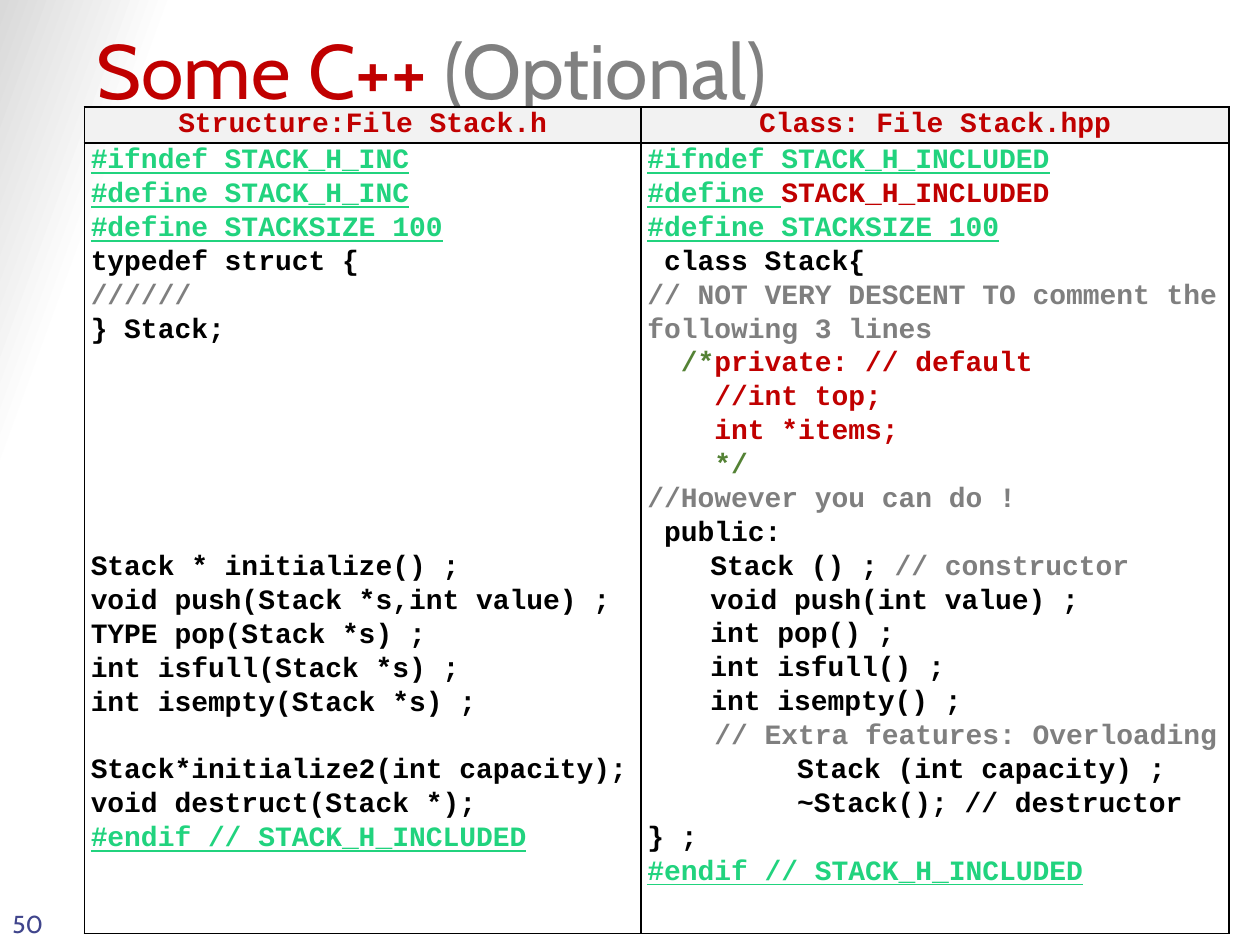
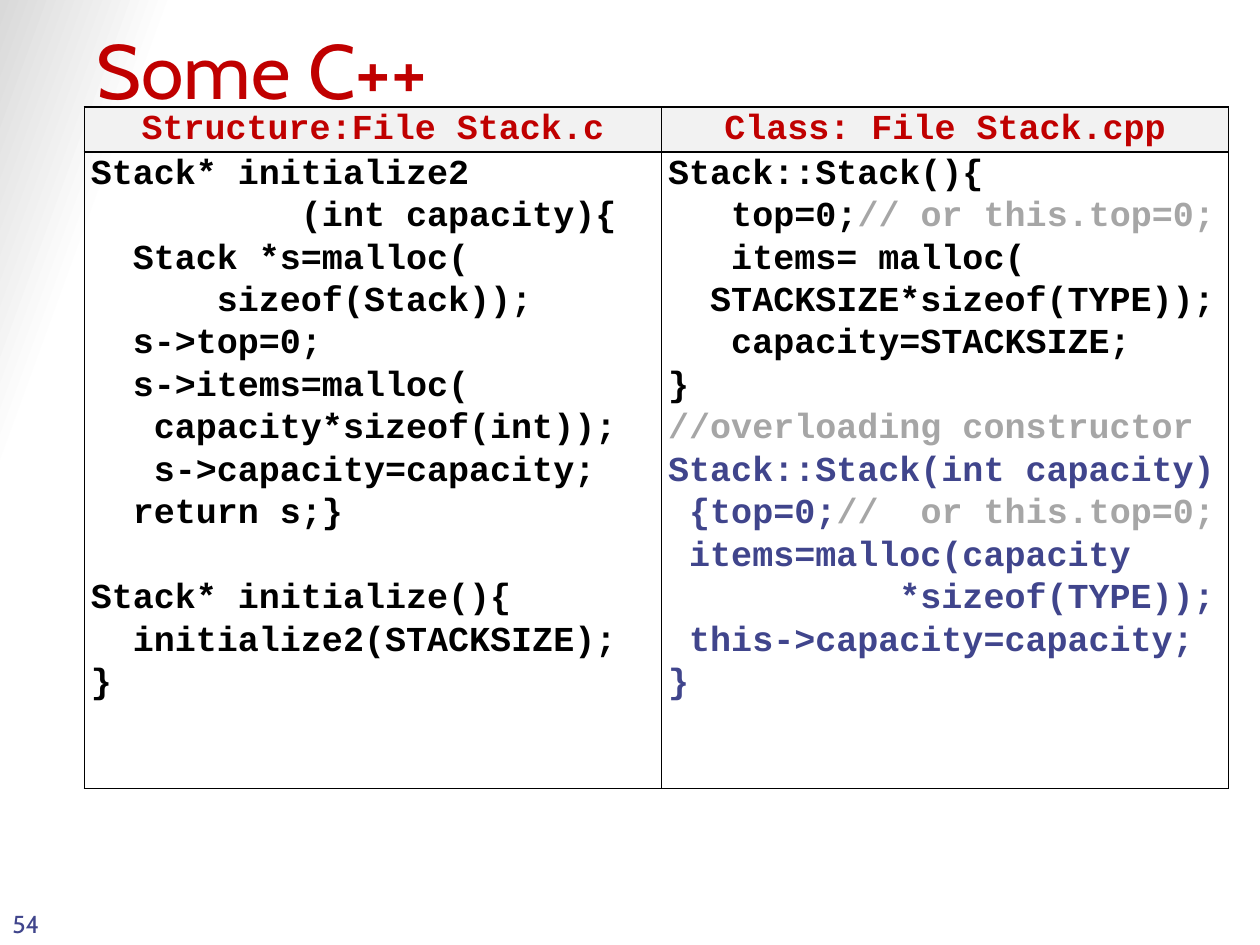
from dataclasses import dataclass

from lxml import etree
from pptx import Presentation
from pptx.dml.color import RGBColor
from pptx.enum import text
from pptx.oxml import ns
from pptx.util import Cm, Pt

RED = RGBColor(0xC0, 0x00, 0x00)
TITLE_GREY = RGBColor(0x80, 0x80, 0x80)
GREY = RGBColor(0x7F, 0x7F, 0x7F)
PALE_GREY = RGBColor(0xA6, 0xA6, 0xA6)
HEADER_GREY = RGBColor(0xF2, 0xF2, 0xF2)
EDGE_GREY = RGBColor(0xD9, 0xD9, 0xD9)
WHITE = RGBColor(0xFF, 0xFF, 0xFF)
BLACK = RGBColor(0x00, 0x00, 0x00)
MINT = RGBColor(0x21, 0xD3, 0x7E)
GREEN = RGBColor(0x54, 0x82, 0x35)
INDIGO = RGBColor(0x40, 0x45, 0x8C)

TITLE_FONT = "Cabin"
CODE_FONT = "Courier New"
LINE_SPACING = 1.07
FONT_HEIGHT = 1.133
WIDE_TAB = Cm(3.02)


@dataclass(frozen=True)
class Run:
    text: str
    color: RGBColor = BLACK
    underline: bool = False


@dataclass(frozen=True)
class Line:
    runs: tuple[Run, ...]
    blanks_before: int = 0
    tab: int = 0


@dataclass(frozen=True)
class Column:
    heading: str
    width: float
    lines: list[Line]


@dataclass(frozen=True)
class CodeSlide:
    title: tuple[Run, ...]
    number: str
    size: int
    row_heights: tuple[float, float]
    columns: tuple[Column, Column]


def line(*runs: Run, blanks: int = 0, tab: int = 0) -> Line:
    return Line(runs, blanks, tab)


def code(block: str, color: RGBColor = BLACK, blanks: int = 0, tab: int = 0) -> list[Line]:
    return [line(Run(row, color), blanks=0 if i else blanks, tab=tab)
            for i, row in enumerate(block.split("\n"))]


def directives(block: str) -> list[Line]:
    return [line(Run(row, MINT, True)) for row in block.split("\n")]


STACK_H = Column("Structure:File Stack.h", 11.22, [
    *directives("""#ifndef STACK_H_INC
#define STACK_H_INC
#define STACKSIZE 100"""),
    *code("typedef struct {"),
    *code("//////", GREY),
    *code("} Stack;"),
    *code("""Stack * initialize() ;
void push(Stack *s,int value) ;
TYPE pop(Stack *s) ;
int isfull(Stack *s) ;
int isempty(Stack *s) ;""", blanks=6),
    *code("""Stack*initialize2(int capacity);
void destruct(Stack *);""", blanks=1),
    *directives("#endif // STACK_H_INCLUDED"),
])

STACK_HPP = Column("Class: File Stack.hpp", 11.86, [
    *directives("#ifndef STACK_H_INCLUDED"),
    line(Run("#define ", MINT, True), Run("STACK_H_INCLUDED", RED)),
    *directives("#define STACKSIZE 100"),
    *code(" class Stack{"),
    *code("// NOT VERY DESCENT TO comment the following 3 lines", GREY),
    line(Run("  /*", GREEN), Run("private: // default", RED)),
    *code("""    //int top;
    int *items;""", RED),
    *code("    */", GREEN),
    *code("//However you can do !", GREY),
    *code(" public:"),
    line(Run(" \tStack () ; "), Run("// constructor", GREY)),
    *code(""" \tvoid push(int value) ;
 \tint pop() ;
 \tint isfull() ;
 \tint isempty() ;"""),
    *code("    // Extra features: Overloading", GREY),
    *code(""" \tStack (int capacity) ;
 \t~Stack(); // destructor""", tab=WIDE_TAB),
    *code("} ;"),
    *directives("#endif // STACK_H_INCLUDED"),
])

STACK_C = Column("Structure:File Stack.c", 11.64, [
    *code("""Stack* initialize2
          (int capacity){
  Stack *s=malloc(
      sizeof(Stack));
  s->top=0;
  s->items=malloc(
   capacity*sizeof(int));
   s->capacity=capacity;
  return s;}"""),
    *code("""Stack* initialize(){
  initialize2(STACKSIZE);
}""", blanks=1),
])

STACK_CPP = Column("Class: File Stack.cpp", 11.43, [
    *code("Stack::Stack(){"),
    line(Run("   top=0;"), Run("// or this.top=0;", PALE_GREY)),
    *code("""   items= malloc(
  STACKSIZE*sizeof(TYPE));
   capacity=STACKSIZE;
}"""),
    *code("//overloading constructor", PALE_GREY),
    *code("Stack::Stack(int capacity)", INDIGO),
    line(Run(" {top=0;", INDIGO), Run("//  or this.top=0;", PALE_GREY)),
    *code(""" items=malloc(capacity
           *sizeof(TYPE));
 this->capacity=capacity;
}""", INDIGO),
])

SLIDES = [
    CodeSlide((Run("Some C++ ", RED), Run("(Optional)", TITLE_GREY)), "50", 16,
              (0.68, 15.04), (STACK_H, STACK_HPP)),
    CodeSlide((Run("Some C++", RED),), "54", 20,
              (0.86, 12.83), (STACK_C, STACK_CPP)),
]


def add_runs(p, runs: tuple[Run, ...], font: str, size: int, bold: bool = False) -> None:
    for run in runs:
        r = p.add_run()
        r.text = run.text
        r.font.name = font
        r.font.size = Pt(size)
        r.font.bold = bold
        r.font.underline = run.underline
        r.font.color.rgb = run.color


def add_label(slide, box: tuple[float, ...], runs: tuple[Run, ...], size: int,
              inset: float) -> None:
    tf = slide.shapes.add_textbox(*map(Cm, box)).text_frame
    tf.word_wrap = True
    tf.vertical_anchor = text.MSO_ANCHOR.BOTTOM
    tf.margin_top = tf.margin_bottom = Cm(inset)
    add_runs(tf.paragraphs[0], runs, TITLE_FONT, size)


def set_background(slide) -> None:
    fill = slide.background.fill
    fill.gradient()
    fill.gradient_angle = 160
    for stop, position, color in zip(fill.gradient_stops, (0.89, 1), (WHITE, EDGE_GREY)):
        stop.position = position
        stop.color.rgb = color


def add_borders(cell) -> None:
    tc_pr = cell._tc.get_or_add_tcPr()
    for i, side in enumerate(("lnL", "lnR", "lnT", "lnB")):
        ln = etree.Element(ns.qn(f"a:{side}"), w=str(Pt(1)))
        fill = etree.SubElement(ln, ns.qn("a:solidFill"))
        etree.SubElement(fill, ns.qn("a:srgbClr"), val=str(BLACK))
        tc_pr.insert(i, ln)


def add_tab(p, position: int) -> None:
    tabs = etree.SubElement(p._p.get_or_add_pPr(), ns.qn("a:tabLst"))
    etree.SubElement(tabs, ns.qn("a:tab"), pos=str(position), algn="l")


def fill_cell(cell, lines: list[Line], size: int, heading: bool = False) -> None:
    cell.margin_left = cell.margin_right = Cm(0.13)
    cell.margin_top = cell.margin_bottom = 0
    if heading:
        cell.fill.solid()
        cell.fill.fore_color.rgb = HEADER_GREY
    else:
        cell.fill.background()
    add_borders(cell)
    tf = cell.text_frame
    for i, row in enumerate(lines):
        p = tf.add_paragraph() if i else tf.paragraphs[0]
        p.alignment = text.PP_ALIGN.CENTER if heading else text.PP_ALIGN.LEFT
        p.line_spacing = LINE_SPACING
        if row.blanks_before:
            p.space_before = Pt(round(row.blanks_before * size * FONT_HEIGHT * LINE_SPACING, 1))
        if row.tab:
            add_tab(p, row.tab)
        add_runs(p, row.runs, CODE_FONT, size, bold=True)


def add_code_table(slide, content: CodeSlide) -> None:
    width = sum(column.width for column in content.columns)
    table = slide.shapes.add_table(2, 2, Cm(1.7), Cm(2.16), Cm(width),
                                   Cm(sum(content.row_heights))).table
    table.first_row = table.horz_banding = False
    for row, height in zip(table.rows, content.row_heights):
        row.height = Cm(height)
    for i, column in enumerate(content.columns):
        table.columns[i].width = Cm(column.width)
        fill_cell(table.cell(0, i), code(column.heading, RED), content.size, heading=True)
        fill_cell(table.cell(1, i), column.lines, content.size)


def main() -> None:
    prs = Presentation()
    prs.slide_width, prs.slide_height = Cm(25.4), Cm(19.05)
    for content in SLIDES:
        slide = prs.slides.add_slide(prs.slide_layouts[6])
        set_background(slide)
        add_label(slide, (1.7, 0.84, 21.59, 1.47), content.title, 44, 0)
        add_label(slide, (0, 17.78, 1.47, 1.27), (Run(content.number, INDIGO),), 14, 0.13)
        add_code_table(slide, content)
    prs.save("out.pptx")


if __name__ == "__main__":
    main()
